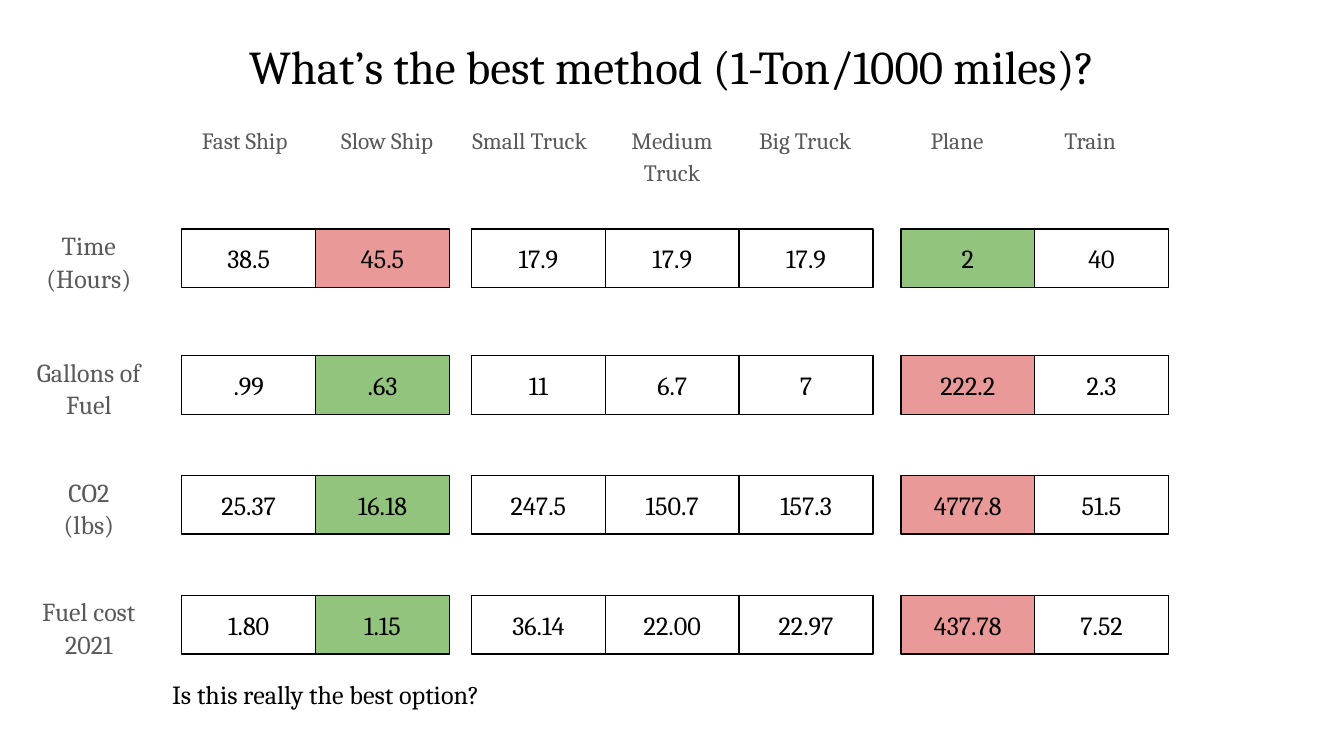
from dataclasses import dataclass

from pptx import Presentation
from pptx.dml.color import RGBColor
from pptx.enum.shapes import MSO_SHAPE
from pptx.enum.text import MSO_ANCHOR, PP_ALIGN
from pptx.shapes.autoshape import Shape
from pptx.slide import Slide
from pptx.util import Pt

RECTANGLE = MSO_SHAPE.RECTANGLE
CENTER = PP_ALIGN.CENTER
TOP = MSO_ANCHOR.TOP
MIDDLE = MSO_ANCHOR.MIDDLE


@dataclass(frozen=True)
class Theme:
    font: str = "Cambria"
    ink: RGBColor = RGBColor(0x00, 0x00, 0x00)
    muted: RGBColor = RGBColor(0x59, 0x59, 0x59)
    best: RGBColor = RGBColor(0x93, 0xC4, 0x7D)
    worst: RGBColor = RGBColor(0xEA, 0x99, 0x99)
    title_size: float = 25.2
    method_size: float = 12.5
    measure_size: float = 13.9
    body_size: float = 14
    border: float = 0.75
    inset: float = 7.2


@dataclass(frozen=True)
class Box:
    left: float
    top: float
    width: float
    height: float


@dataclass(frozen=True)
class TextStyle:
    size: float
    color: RGBColor
    spacing: float = 1.0
    after: float = 0


@dataclass(frozen=True)
class Method:
    name: str
    heading_left: float
    cell_left: float


@dataclass(frozen=True)
class Measure:
    name: str
    top: float
    values: tuple[str, ...]


THEME = Theme()
TITLE = TextStyle(THEME.title_size, THEME.ink)
METHOD = TextStyle(THEME.method_size, THEME.muted, 1.15, 12)
MEASURE = TextStyle(THEME.measure_size, THEME.muted, 1.05, 12)
BODY = TextStyle(THEME.body_size, THEME.ink)

CELL_WIDTH, CELL_HEIGHT = 71.7, 31.5
LABEL_WIDTH, LABEL_HEIGHT = 76.4, 38.9
LABEL_LEFT, LABEL_RISE = 9.4, 7.6
HEADING_TOP = 58.3
SHIPS, TRUCKS, OTHERS = 97.4, 252.6, 482.6

METHODS = (
    Method("Fast Ship", 92.9, SHIPS),
    Method("Slow Ship", 169.2, SHIPS + CELL_WIDTH),
    Method("Small Truck", 245.5, TRUCKS),
    Method("Medium Truck", 321.8, TRUCKS + CELL_WIDTH),
    Method("Big Truck", 393.1, TRUCKS + 2 * CELL_WIDTH),
    Method("Plane", 474.5, OTHERS),
    Method("Train", 545.8, OTHERS + CELL_WIDTH),
)
MEASURES = (
    Measure("Time\n(Hours)", 122.6, ("38.5", "45.5", "17.9", "17.9", "17.9", "2", "40")),
    Measure("Gallons of Fuel", 190.5, (".99", ".63", "11", "6.7", "7", "222.2", "2.3")),
    Measure("CO2\n(lbs)", 254.7, ("25.37", "16.18", "247.5", "150.7", "157.3", "4777.8", "51.5")),
    Measure("Fuel cost\n2021", 318.9, ("1.80", "1.15", "36.14", "22.00", "22.97", "437.78", "7.52")),
)


def write(holder: Shape, text: str, style: TextStyle, anchor: MSO_ANCHOR) -> None:
    frame = holder.text_frame
    frame.word_wrap = True
    frame.vertical_anchor = anchor
    frame.margin_left = frame.margin_right = Pt(THEME.inset)
    frame.margin_top = frame.margin_bottom = Pt(THEME.inset)
    paragraph = frame.paragraphs[0]
    paragraph.text = text
    paragraph.alignment = CENTER
    paragraph.line_spacing = style.spacing
    paragraph.space_after = Pt(style.after)
    paragraph.font.name = THEME.font
    paragraph.font.size = Pt(style.size)
    paragraph.font.color.rgb = style.color


def add_label(slide: Slide, box: Box, text: str, style: TextStyle) -> None:
    label = slide.shapes.add_textbox(Pt(box.left), Pt(box.top), Pt(box.width), Pt(box.height))
    write(label, text, style, TOP)


def add_cell(slide: Slide, box: Box, text: str, fill: RGBColor | None) -> None:
    cell = slide.shapes.add_shape(
        RECTANGLE, Pt(box.left), Pt(box.top), Pt(box.width), Pt(box.height))
    cell.shadow.inherit = False
    if fill is None:
        cell.fill.background()
    else:
        cell.fill.solid()
        cell.fill.fore_color.rgb = fill
    cell.line.color.rgb = THEME.ink
    cell.line.width = Pt(THEME.border)
    write(cell, text, BODY, MIDDLE)


def add_measure(slide: Slide, measure: Measure) -> None:
    label_box = Box(LABEL_LEFT, measure.top - LABEL_RISE, LABEL_WIDTH, LABEL_HEIGHT)
    add_label(slide, label_box, measure.name, MEASURE)
    highlights = {
        min(measure.values, key=float): THEME.best,
        max(measure.values, key=float): THEME.worst,
    }
    for method, value in zip(METHODS, measure.values):
        cell_box = Box(method.cell_left, measure.top, CELL_WIDTH, CELL_HEIGHT)
        add_cell(slide, cell_box, value, highlights.get(value))


def main() -> None:
    deck = Presentation()
    deck.slide_width, deck.slide_height = Pt(720), Pt(405)
    slide = deck.slides.add_slide(deck.slide_layouts[6])
    add_label(slide, Box(24.5, 13, 671, 45.4), "What’s the best method (1-Ton/1000 miles)?", TITLE)
    for method in METHODS:
        heading_box = Box(method.heading_left, HEADING_TOP, LABEL_WIDTH, LABEL_HEIGHT)
        add_label(slide, heading_box, method.name, METHOD)
    for measure in MEASURES:
        add_measure(slide, measure)
    add_label(slide, Box(77, 356.4, 195.1, 48.2), "Is this really the best option?", BODY)
    deck.save("out.pptx")


if __name__ == "__main__":
    main()
